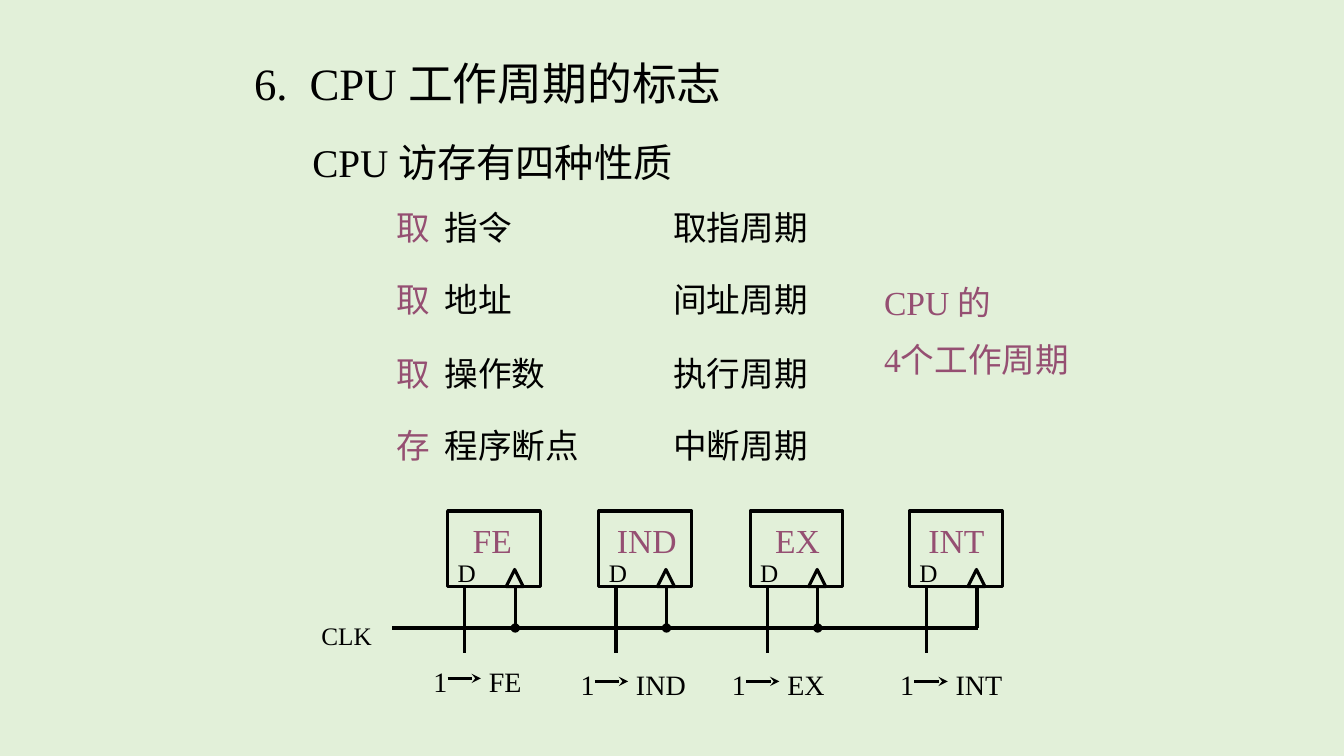
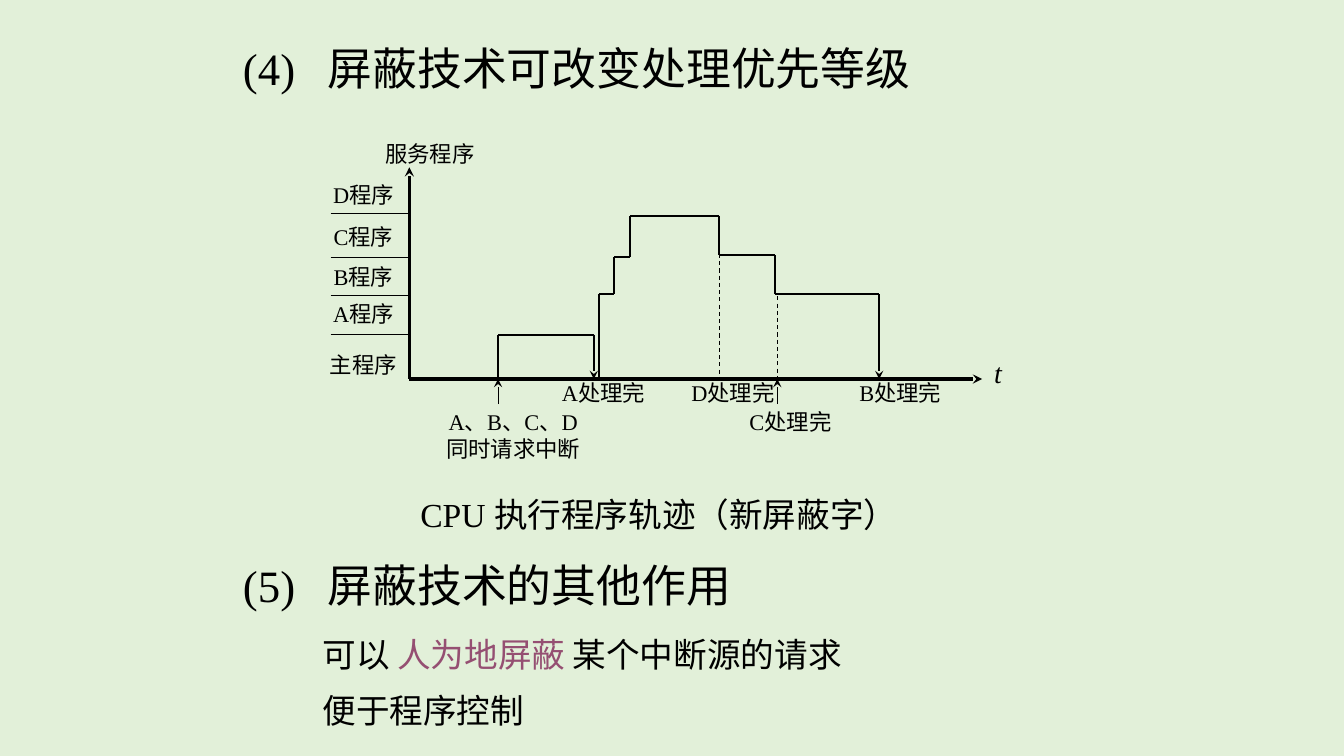
from dataclasses import dataclass

from lxml import etree
from pptx import Presentation
from pptx.dml.color import RGBColor
from pptx.enum.dml import MSO_LINE
from pptx.enum.shapes import MSO_CONNECTOR, MSO_SHAPE
from pptx.enum.text import MSO_ANCHOR, MSO_AUTO_SIZE, PP_ALIGN
from pptx.oxml.ns import qn
from pptx.util import Pt

PX = 9144  # 100 px to the inch
LEFT, CENTER = PP_ALIGN.LEFT, PP_ALIGN.CENTER
TOP, MIDDLE = MSO_ANCHOR.TOP, MSO_ANCHOR.MIDDLE
DASH = MSO_LINE.DASH
STRAIGHT = MSO_CONNECTOR.STRAIGHT
RECTANGLE, TRIANGLE = MSO_SHAPE.RECTANGLE, MSO_SHAPE.ISOSCELES_TRIANGLE
TITLE_ONLY = 5


@dataclass(frozen=True)
class Theme:
    font: str = "Times New Roman"
    paper: RGBColor = RGBColor(0xE2, 0xF0, 0xD9)
    ink: RGBColor = RGBColor(0, 0, 0)
    accent: RGBColor = RGBColor(0x95, 0x4F, 0x72)
    title: int = 32
    subtitle: int = 28
    body: int = 24
    signal: int = 20
    pin: int = 18
    label: int = 16
    thick: float = 2.25
    medium: float = 1.5
    thin: float = 0.75


THEME = Theme()


def add_text(page, at, lines, size, color=THEME.ink, inset=(10, 5), align=LEFT,
             anchor=TOP, wrap=True, tab=None, italic=False, title=False):
    """Fill the title or a new box; a line is a string or a list of (text, color)."""
    left, top, width, height = [length * PX for length in at]
    if title:
        box = page.shapes.title
        box.left, box.top, box.width, box.height = left, top, width, height
    else:
        box = page.shapes.add_textbox(left, top, width, height)
    frame = box.text_frame
    frame.auto_size = MSO_AUTO_SIZE.NONE
    frame.word_wrap = wrap
    frame.vertical_anchor = anchor
    frame.margin_left = frame.margin_right = inset[0] * PX
    frame.margin_top = frame.margin_bottom = inset[1] * PX
    for number, line in enumerate(lines):
        para = frame.add_paragraph() if number else frame.paragraphs[0]
        para.alignment = align
        if tab:
            tabs = etree.SubElement(para._p.get_or_add_pPr(), qn("a:tabLst"))
            etree.SubElement(tabs, qn("a:tab"), pos=str(tab * PX), algn="l")
        if number and size == THEME.body:
            para.space_before = Pt(size / 2)
        para.font.name = THEME.font
        para.font.size = Pt(size)
        para.font.bold = False
        para.font.italic = italic
        para.font.color.rgb = color
        for text, span_color in [(line, None)] if isinstance(line, str) else line:
            span = para.add_run()
            span.text = text
            if span_color:
                span.font.color.rgb = span_color


def add_line(page, start, end, weight, tip=None, dash=None):
    line = page.shapes.add_connector(STRAIGHT, *[value * PX for value in start + end])
    line.line.color.rgb = THEME.ink
    line.line.width = Pt(weight)
    if dash:
        line.line.dash_style = dash
    if tip:
        etree.SubElement(line.line._get_or_add_ln(), qn("a:tailEnd"), type=tip)
    etree.SubElement(line._element.spPr, qn("a:effectLst"))


deck = Presentation()
deck.slide_width, deck.slide_height = 1333 * PX, 750 * PX
background = deck.slide_master.background.fill
background.solid()
background.fore_color.rgb = THEME.paper
layout = deck.slide_layouts[TITLE_ONLY]

# Slide 1: the four CPU cycles and their flip-flops
page = deck.slides.add_slide(layout)
add_text(page, (242, 50, 625, 63), ["6.\tCPU 工作周期的标志"], THEME.title,
         anchor=MIDDLE, tab=55, title=True)
add_text(page, (300, 132, 583, 57), ["CPU 访存有四种性质"], THEME.subtitle)

accesses = [
    ("取", "指令", "取指周期"),
    ("取", "地址", "间址周期"),
    ("取", "操作数", "执行周期"),
    ("存", "程序断点", "中断周期"),
]
for row, (verb, target, cycle) in enumerate(accesses):
    top = 200 + round(row * 72.3)
    add_text(page, (383, top, 242, 50), [[(verb, THEME.accent), ("\t" + target, None)]],
             THEME.body, tab=48)
    add_text(page, (658, top, 242, 50), [cycle], THEME.body)
add_text(page, (867, 275, 342, 111), ["CPU 的", "4个工作周期"], THEME.body, THEME.accent)

BLOCK_TOP, BLOCK_BOTTOM, BUS = 507, 582, 623
# name, block left, name left, name width, signal left, signal top
flip_flops = [
    ("FE", 444, 459, 63, 420, 654),
    ("IND", 594, 602, 81, 566, 657),
    ("EX", 744, 759, 66, 716, 657),
    ("INT", 902, 911, 80, 883, 657),
]
for name, left, name_left, name_width, signal_left, signal_top in flip_flops:
    outlines = [
        (RECTANGLE, left, BLOCK_TOP, 92, BLOCK_BOTTOM - BLOCK_TOP),
        (TRIANGLE, left + 58, BLOCK_BOTTOM - 17, 17, 17),
    ]
    for kind, *at in outlines:
        outline = page.shapes.add_shape(kind, *[length * PX for length in at])
        outline.shadow.inherit = False
        outline.fill.background()
        outline.line.color.rgb = THEME.ink
        outline.line.width = Pt(THEME.thick)
    add_text(page, (name_left, 511, name_width, 50), [name], THEME.body, THEME.accent,
             wrap=False)
    add_text(page, (left, 548, 38, 40), ["D"], THEME.pin, wrap=False)
    add_line(page, (left + 17, BLOCK_BOTTOM), (left + 17, 648), THEME.thick)
    add_line(page, (left + 67, BLOCK_BOTTOM), (left + 67, BUS), THEME.thick,
             tip=None if name == "INT" else "oval")
    add_text(page, (signal_left, signal_top, 34, 43), ["1"], THEME.signal, wrap=False)
    add_line(page, (signal_left + 24, signal_top + 19), (signal_left + 57, signal_top + 19),
             THEME.thick, tip="stealth")
    add_text(page, (signal_left + 55, signal_top, name_width - 8, 43), [name],
             THEME.signal, wrap=False)
add_line(page, (389, BUS), (970, BUS), THEME.thick)
add_text(page, (309, 611, 74, 40), ["CLK"], THEME.pin, wrap=False)

# Slide 2: the program track under the new mask words
page = deck.slides.add_slide(layout)
add_text(page, (241, 44, 757, 47), ["(4)\t屏蔽技术可改变处理优先等级"], THEME.title,
         inset=(0, 0), anchor=MIDDLE, tab=84, title=True)
add_text(page, (241, 556, 590, 47), ["(5)\t屏蔽技术的其他作用"], THEME.title,
         inset=(0, 0), anchor=MIDDLE, tab=84)
add_text(page, (310, 624, 700, 50),
         [[("可以 ", None), ("人为地屏蔽 ", THEME.accent), ("某个中断源的请求", None)]],
         THEME.body)
add_text(page, (310, 680, 450, 50), ["便于程序控制"], THEME.body)
add_text(page, (407, 485, 567, 50), ["CPU 执行程序轨迹（新屏蔽字）"], THEME.body)

AXIS_X, AXIS_Y = 406, 376
add_line(page, (AXIS_X, AXIS_Y), (974, AXIS_Y), THEME.thick, tip="stealth")
add_line(page, (AXIS_X, AXIS_Y), (AXIS_X, 166), THEME.thick, tip="stealth")
add_text(page, (967, 353, 46, 36), ["t"], THEME.signal, inset=(0, 0), align=CENTER,
         italic=True)

chart_labels = [
    ((368, 139, 117, 39), ["服务程序"]),
    ((320, 180, 81, 36), ["D程序"]),
    ((320, 221, 81, 36), ["C程序"]),
    ((320, 261, 81, 36), ["B程序"]),
    ((320, 298, 81, 36), ["A程序"]),
    ((320, 348, 81, 36), ["主程序"]),
    ((546, 376, 105, 38), ["A处理完"]),
    ((677, 376, 100, 38), ["D处理完"]),
    ((736, 405, 96, 33), ["C处理完"]),
    ((836, 376, 114, 46), ["B处理完"]),
    ((430, 405, 158, 56), ["A、B、C、D", "同时请求中断"]),
]
for at, lines in chart_labels:
    add_text(page, at, lines, THEME.label, inset=(0, 0), align=CENTER)

for level in (212, 255, 293, 332):
    add_line(page, (328, level), (AXIS_X, level), THEME.thin)

tracks = [
    [(494, AXIS_Y), (494, 332), (589, 332), (589, AXIS_Y)],
    [(594, AXIS_Y), (594, 292), (609, 292), (609, 255), (625, 255), (625, 214), (713, 214),
     (713, 253), (769, 253), (769, 292), (872, 292), (872, AXIS_Y)],
]
for track in tracks:
    for start, end in zip(track, track[1:]):
        add_line(page, start, end, THEME.medium, tip="stealth" if end == track[-1] else None)

for x, top in ((714, 252), (771, 294)):
    add_line(page, (x, top), (x, AXIS_Y), THEME.thin, dash=DASH)
for x in (494, 771):
    add_line(page, (x, 401), (x, AXIS_Y), THEME.thin, tip="stealth")

deck.save("out.pptx")
